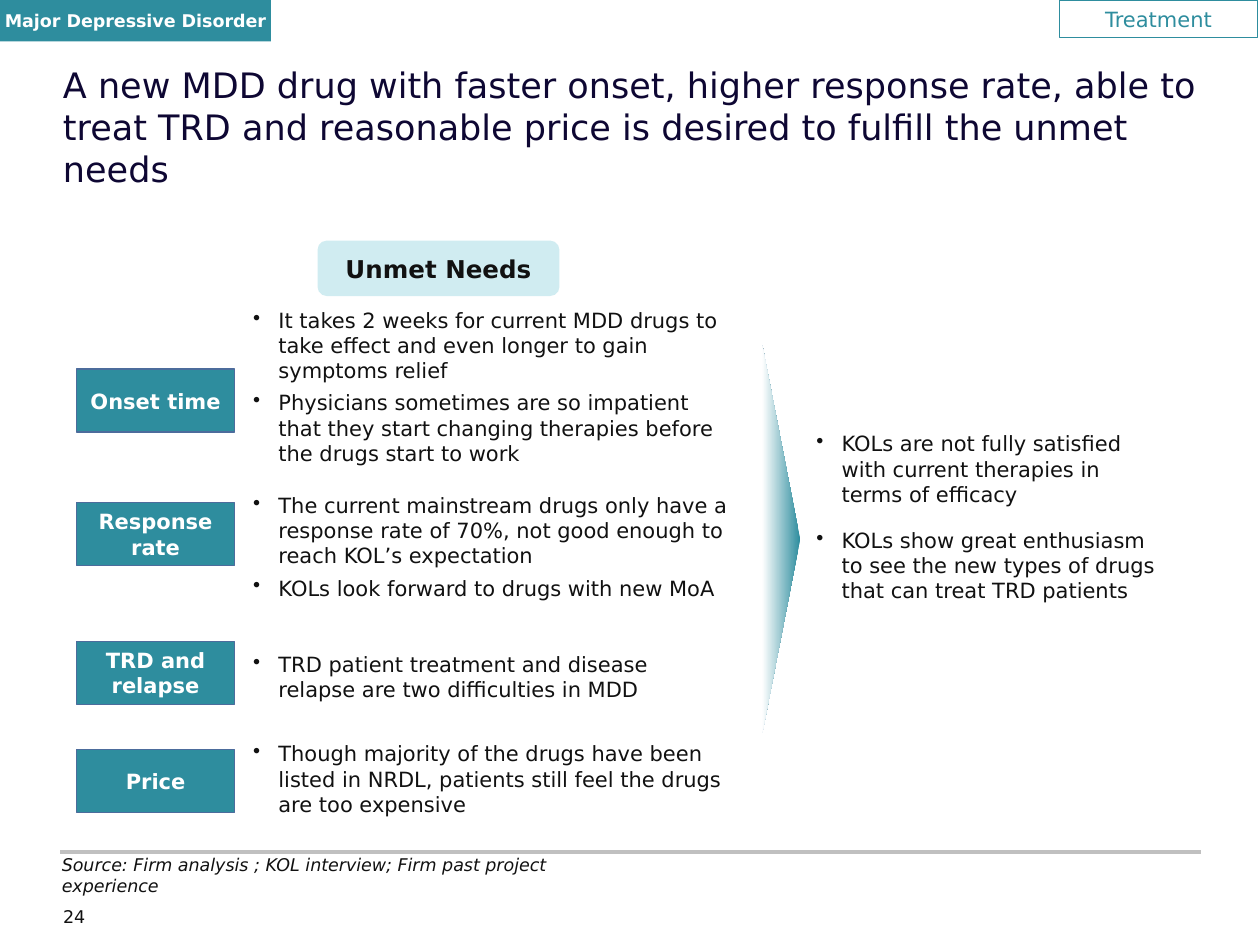
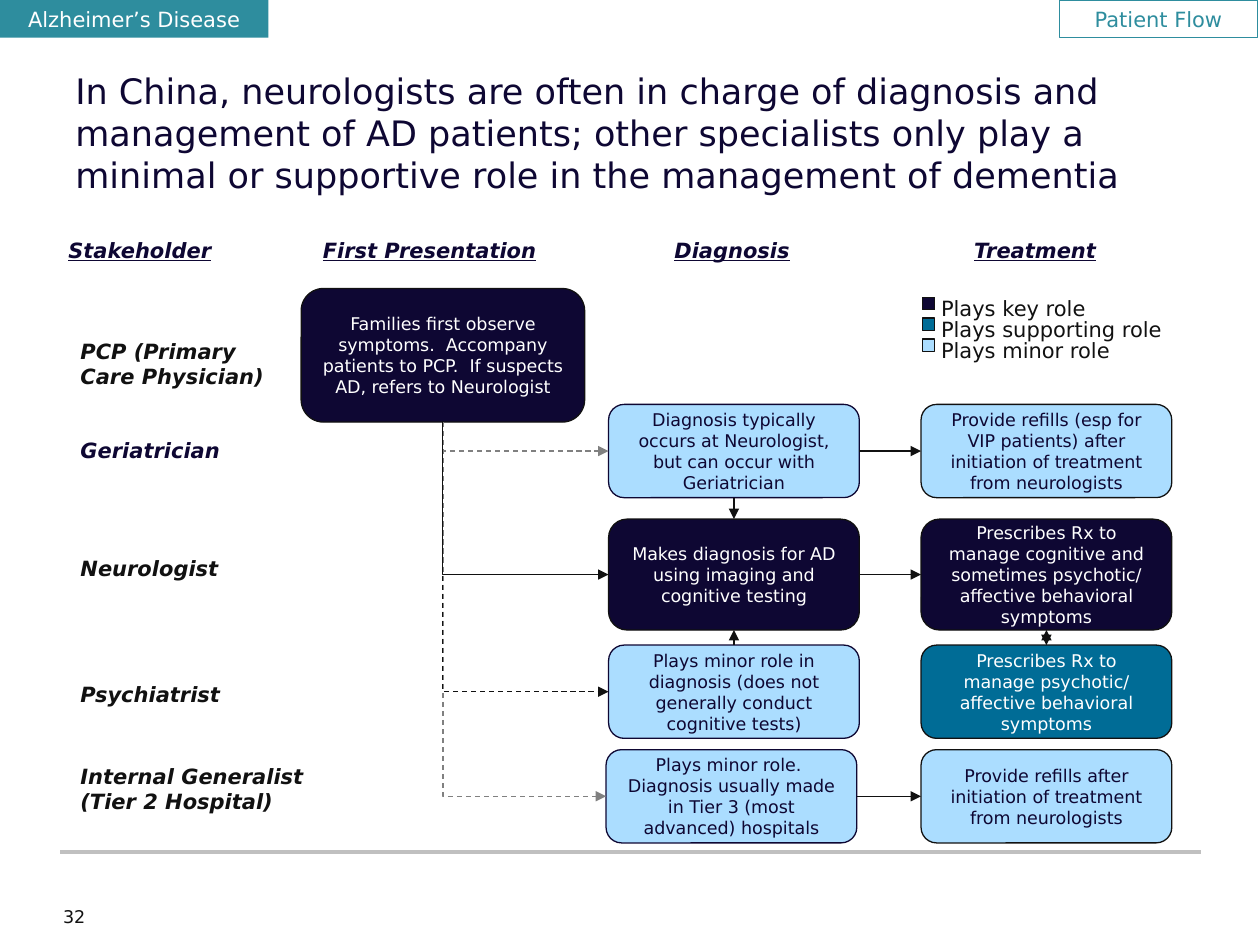
import pptx
import pptx.util
import pptx.dml.color
import pptx.enum.dml
import pptx.enum.shapes
import pptx.enum.text
import pptx.oxml.ns
from lxml import etree

Pt = pptx.util.Pt
SHAPE = pptx.enum.shapes.MSO_SHAPE
LINK = pptx.enum.shapes.MSO_CONNECTOR
ALIGN = pptx.enum.text.PP_ALIGN
ANCHOR = pptx.enum.text.MSO_ANCHOR
qn = pptx.oxml.ns.qn

FONT = "DejaVu Sans"
C = {
    "teal": "2E8D9E", "pale": "D0ECF1", "navy": "0E0733", "blue": "006C96",
    "sky": "ABDDFF", "edge": "4C6C9C", "ink": "111111", "gray": "808080",
    "rule": "C0C0C0", "white": "FFFFFF",
}
WIDTH, HEIGHT = pptx.util.Inches(10), pptx.util.Inches(7.5)
COL, ROW = WIDTH / 100, HEIGHT / 75  # the slide is a grid of 100 columns by 75 rows
TOP, LEFT, BOTTOM, RIGHT = range(4)


def rgb(name):
    return pptx.dml.color.RGBColor.from_string(C[name])


def emu(x, y, w, h):
    """Turn grid columns and rows into slide lengths."""
    return round(x * COL), round(y * ROW), round(w * COL), round(h * ROW)


def within(box, x, y, w, h):
    """Shift a rectangle by the corner of the box that holds it."""
    return box[0] + x, box[1] + y, w, h


def write(sp, text, size=12, color="ink", bold=False, italic=False, underline=False,
          align=ALIGN.LEFT, anchor=ANCHOR.TOP, wrap=True, inset=True, bullet=False, gap=0):
    """Fill a shape with text, a list of strings giving one paragraph each."""
    tf = sp.text_frame
    tf.word_wrap, tf.vertical_anchor = wrap, anchor
    if not inset:
        tf.margin_left = tf.margin_right = tf.margin_top = tf.margin_bottom = 0
    for i, line in enumerate([text] if isinstance(text, str) else text):
        p = tf.add_paragraph() if i else tf.paragraphs[0]
        p.alignment = align
        if i and gap:
            p.space_before = Pt(gap)
        if bullet:
            pPr = p._p.get_or_add_pPr()
            indent = round(2 * COL)
            pPr.set("marL", str(indent))
            pPr.set("indent", str(-indent))
            etree.SubElement(pPr, qn("a:buChar"), char="•")
        r = p.add_run()
        r.text = line
        f = r.font
        f.name, f.size, f.color.rgb = FONT, Pt(size), rgb(color)
        f.bold, f.italic, f.underline = bold, italic, underline
    return sp


def label(s, box, text, **style):
    return write(s.shapes.add_textbox(*emu(*box)), text, **style)


def block(s, box, fill=None, line=None, kind=SHAPE.RECTANGLE):
    sp = s.shapes.add_shape(kind, *emu(*box))
    sp.shadow.inherit = False
    if fill:
        sp.fill.solid()
        sp.fill.fore_color.rgb = rgb(fill)
    else:
        sp.fill.background()
    if line:
        sp.line.color.rgb, sp.line.width = rgb(line), Pt(0.75)
    else:
        sp.line.fill.background()
    return sp


def caption_block(s, box, text, fill=None, line=None, kind=SHAPE.RECTANGLE, **style):
    return write(block(s, box, fill, line, kind), text,
                 align=ALIGN.CENTER, anchor=ANCHOR.MIDDLE, **style)


def format_line(cn, color, width=0.75, dashed=False, ends=()):
    cn.line.color.rgb, cn.line.width = rgb(color), Pt(width)
    if dashed:
        cn.line.dash_style = pptx.enum.dml.MSO_LINE.DASH
    etree.SubElement(cn._element.spPr, qn("a:effectLst"))
    for end in ends:
        etree.SubElement(cn.line._get_or_add_ln(), qn("a:" + end), type="triangle")


def arrow(s, start, start_side, end, end_side, both=False):
    cn = s.shapes.add_connector(LINK.STRAIGHT, 0, 0, 0, 0)
    cn.begin_connect(start, start_side)
    cn.end_connect(end, end_side)
    format_line(cn, "ink", ends=("headEnd", "tailEnd") if both else ("tailEnd",))


def elbow_arrow(s, start, end, color, dashed):
    """Run down from the bottom of start, then right to the left side of end."""
    cn = s.shapes.add_connector(LINK.ELBOW, 0, 0, 0, 0)
    cn.begin_connect(start, BOTTOM)
    cn.end_connect(end, LEFT)
    x, y = start.left + start.width // 2, start.top + start.height
    across, down = end.left - x, end.top + end.height // 2 - y
    # The one-bend preset is turned a quarter, so its width is the drop
    cn.left, cn.top = x + (across - down) // 2, y + (down - across) // 2
    cn.width, cn.height = down, across
    spPr = cn._element.spPr
    xfrm = spPr.find(qn("a:xfrm"))
    xfrm.attrib.pop("flipV", None)
    xfrm.set("rot", "16200000")
    xfrm.set("flipH", "1")
    spPr.find(qn("a:prstGeom")).set("prst", "bentConnector2")
    format_line(cn, color, dashed=dashed, ends=("tailEnd",))


def frame(prs, number, section):
    """Add a slide with its rule, page number and section tag."""
    s = prs.slides.add_slide(prs.slide_layouts[6])
    x, y, w, _ = emu(4.8, 67.6, 90.5, 0)
    format_line(s.shapes.add_connector(LINK.STRAIGHT, x, y, x + w, y), "rule", 2)
    label(s, (5, 71.9, 4.8, 2), str(number), size=10, inset=False)
    caption_block(s, (84.1, 0, 15.7, 3), section, line="teal", color="teal", wrap=False)
    return s


def title(s, text, inset):
    label(s, (5, 5, 90, 10), text, size=20, color="navy", inset=inset)


def needs(s, box, rows):
    """Heading above rows of a tag and its bullets."""
    caption_block(s, within(box, 19.1, 0, 19.2, 4.4), "Unmet Needs", fill="pale",
                  kind=SHAPE.FLOWCHART_ALTERNATE_PROCESS, size=14, bold=True)
    for tag, tag_y, text_y, text_w, text_h, bullets in rows:
        caption_block(s, within(box, 0, tag_y, 12.5, 5), tag, fill="teal", line="edge",
                      color="white", bold=True)
        label(s, within(box, 14, text_y, text_w, text_h), bullets,
              inset=False, bullet=True, gap=4)


def conclusion(s, box, bullets):
    """Gradient arrowhead followed by the bullets it points to."""
    w, h = 3, 30.8
    sp = block(s, within(box, (w - h) / 2, (h - w) / 2, h, w), "teal",
               kind=SHAPE.ISOSCELES_TRIANGLE)
    sp.rotation = 90
    sp.fill.gradient()
    sp.fill.gradient_angle = 270
    for stop, color, position in zip(sp.fill.gradient_stops, ("teal", "white"), (0, 1)):
        stop.color.rgb, stop.position = rgb(color), position
    label(s, within(box, 4.3, 6.8, 27.6, 18), bullets, inset=False, bullet=True, gap=12)


def legend(s, box, entries):
    for i, (color, text) in enumerate(entries):
        y = 1.65 * i
        block(s, within(box, 0, y, 1, 1), color, "ink")
        label(s, within(box, 0.5, y - 0.6, 19.8, 3), text, wrap=False)


def stakeholders(s, box, headings, names):
    """Column headings and the row names down the left."""
    for x, w, text in headings:
        label(s, within(box, x, 0, w, 3), text, color="navy", bold=True, italic=True,
              underline=True, align=ALIGN.CENTER, wrap=False)
    for y, w, h, color, text in names:
        label(s, within(box, 1, y, w, h), text, color=color, bold=True, italic=True)


def patient_flow(s, box, first_text, rows):
    """Role boxes by stakeholder, joined by arrows."""
    def role(x, y, w, h, fill, line, text):
        return caption_block(s, within(box, x, y, w, h), text, fill=fill, line=line,
                             kind=SHAPE.ROUNDED_RECTANGLE, size=10,
                             color="navy" if fill == "sky" else "white")

    first = role(0, 0, 22.5, 10.6, "navy", "ink", first_text)
    diagnoses, treatments = [], []
    for x, y, h, fill, line, diagnosis, treat_fill, treatment in rows:
        diagnoses.append(role(x, y, 19.9, h, fill, line, diagnosis))
        treatments.append(role(49.2, y, 19.9, h, treat_fill, "ink", treatment))
    geriatrician, neurologist, psychiatrist, generalist = diagnoses

    elbow_arrow(s, first, neurologist, "ink", False)
    elbow_arrow(s, first, geriatrician, "gray", True)
    elbow_arrow(s, first, generalist, "gray", True)
    elbow_arrow(s, first, psychiatrist, "ink", True)
    for i in (0, 1, 3):
        arrow(s, diagnoses[i], RIGHT, treatments[i], LEFT)
    arrow(s, geriatrician, BOTTOM, neurologist, TOP)
    arrow(s, psychiatrist, TOP, neurologist, BOTTOM)
    arrow(s, treatments[1], BOTTOM, treatments[2], TOP, both=True)


def unmet_needs_slide(prs):
    s = frame(prs, 24, "Treatment")
    caption_block(s, (0, 0, 21.5, 3.3), "Major Depressive Disorder", fill="teal",
                  size=10, color="white", bold=True, wrap=False)
    title(s, "A new MDD drug with faster onset, higher response rate, able to treat TRD "
             "and reasonable price is desired to fulfill the unmet needs", inset=False)
    needs(s, (6.1, 19.1, 52.6, 45.6), [
        ("Onset time", 10.2, 5.3, 37.8, 12.6, [
            "It takes 2 weeks for current MDD drugs to take effect and even longer to gain "
            "symptoms relief",
            "Physicians sometimes are so impatient that they start changing therapies before "
            "the drugs start to work"]),
        ("Response rate", 20.8, 20, 37.8, 10.6, [
            "The current mainstream drugs only have a response rate of 70%, not good enough "
            "to reach KOL’s expectation",
            "KOLs look forward to drugs with new MoA"]),
        ("TRD and relapse", 31.8, 32.6, 37.8, 4.1,
         "TRD patient treatment and disease relapse are two difficulties in MDD"),
        ("Price", 40.4, 39.7, 38.6, 5.9,
         "Though majority of the drugs have been listed in NRDL, patients still feel the "
         "drugs are too expensive"),
    ])
    conclusion(s, (60.5, 27.4, 31.9, 30.8), [
        "KOLs are not fully satisfied with current therapies in terms of efficacy",
        "KOLs show great enthusiasm to see the new types of drugs that can treat TRD patients",
    ])
    label(s, (4.9, 67.8, 46.1, 1.7),
          "Source: Firm analysis ; KOL interview; Firm past project experience",
          size=10, italic=True, wrap=False, inset=False)


def patient_flow_slide(prs):
    s = frame(prs, 32, "Patient Flow")
    caption_block(s, (0, 0, 21.3, 3), "Alzheimer’s Disease", fill="teal", color="white")
    title(s, "In China, neurologists are often in charge of diagnosis and management of AD "
             "patients; other specialists only play a minimal or supportive role in the "
             "management of dementia", inset=True)
    stakeholders(s, (4.4, 18.4, 83.7, 46.7), [
        (0, 13.4, "Stakeholder"), (20.2, 19, "First Presentation"),
        (48.1, 11.2, "Diagnosis"), (71.8, 11.9, "Treatment"),
    ], [
        (8, 18.5, 5, "ink", "PCP (Primary Care Physician)"),
        (15.8, 18.5, 3, "navy", "Geriatrician"),
        (25.2, 18.5, 3, "ink", "Neurologist"),
        (35.2, 18.5, 3, "ink", "Psychiatrist"),
        (41.7, 20.4, 5, "ink", ["Internal Generalist", "(Tier 2 Hospital)"]),
    ])
    legend(s, (73.2, 23.6, 20.3, 5), [
        ("navy", "Plays key role"), ("blue", "Plays supporting role"),
        ("sky", "Plays minor role"),
    ])
    patient_flow(
        s, (23.9, 22.9, 69.1, 44),
        "Families first observe symptoms.  Accompany patients to PCP.  If suspects AD, "
        "refers to Neurologist", [
            (24.4, 9.2, 7.4, "sky", "navy",
             "Diagnosis typically occurs at Neurologist, but can occur with Geriatrician",
             "sky", "Provide refills (esp for VIP patients) after initiation of treatment "
             "from neurologists"),
            (24.4, 18.3, 8.8, "navy", "ink",
             "Makes diagnosis for AD using imaging and cognitive testing",
             "navy", "Prescribes Rx to manage cognitive and sometimes psychotic/ affective "
             "behavioral symptoms"),
            (24.4, 28.3, 7.4, "sky", "navy",
             "Plays minor role in diagnosis (does not generally conduct cognitive tests)",
             "blue", "Prescribes Rx to manage psychotic/ affective behavioral symptoms"),
            (24.2, 36.6, 7.4, "sky", "navy",
             "Plays minor role.  Diagnosis usually made in Tier 3 (most advanced) hospitals",
             "sky", "Provide refills after initiation of treatment from neurologists"),
        ])


def main():
    prs = pptx.Presentation()
    prs.slide_width, prs.slide_height = WIDTH, HEIGHT
    unmet_needs_slide(prs)
    patient_flow_slide(prs)
    prs.save("out.pptx")


if __name__ == "__main__":
    main()
